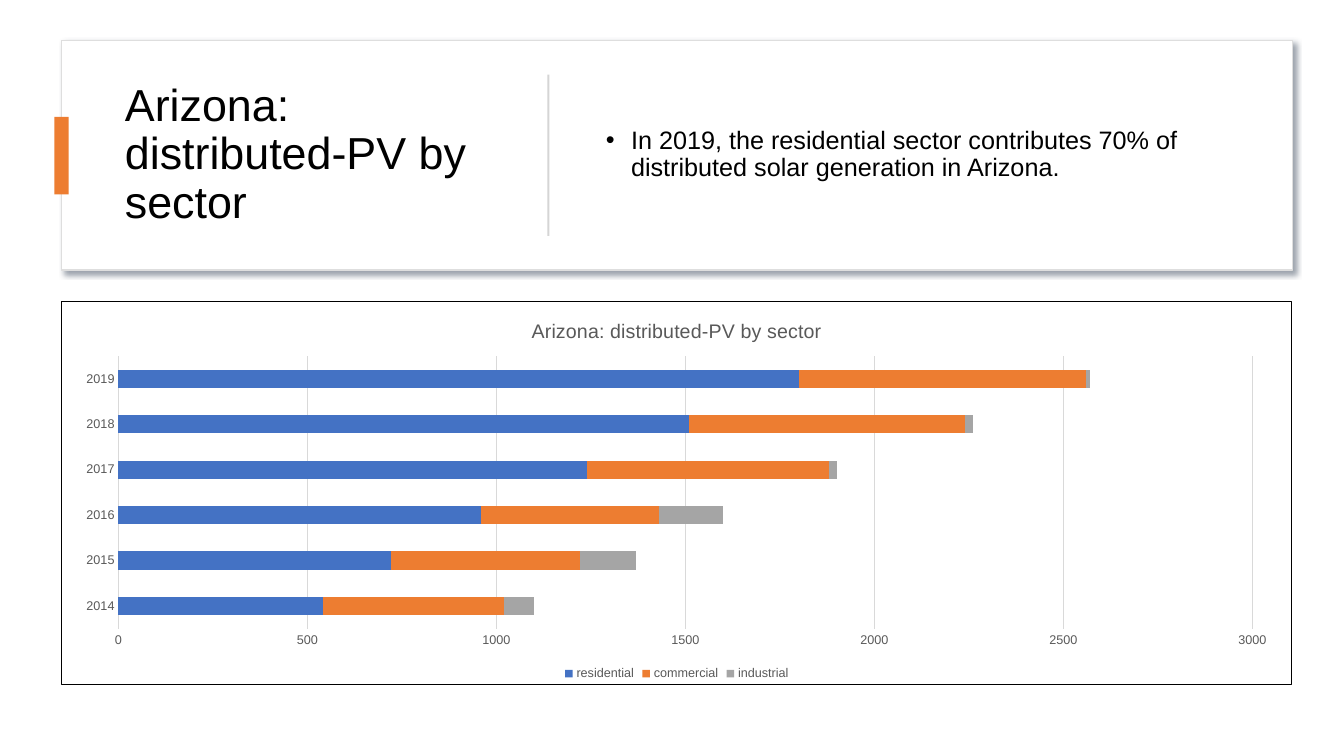
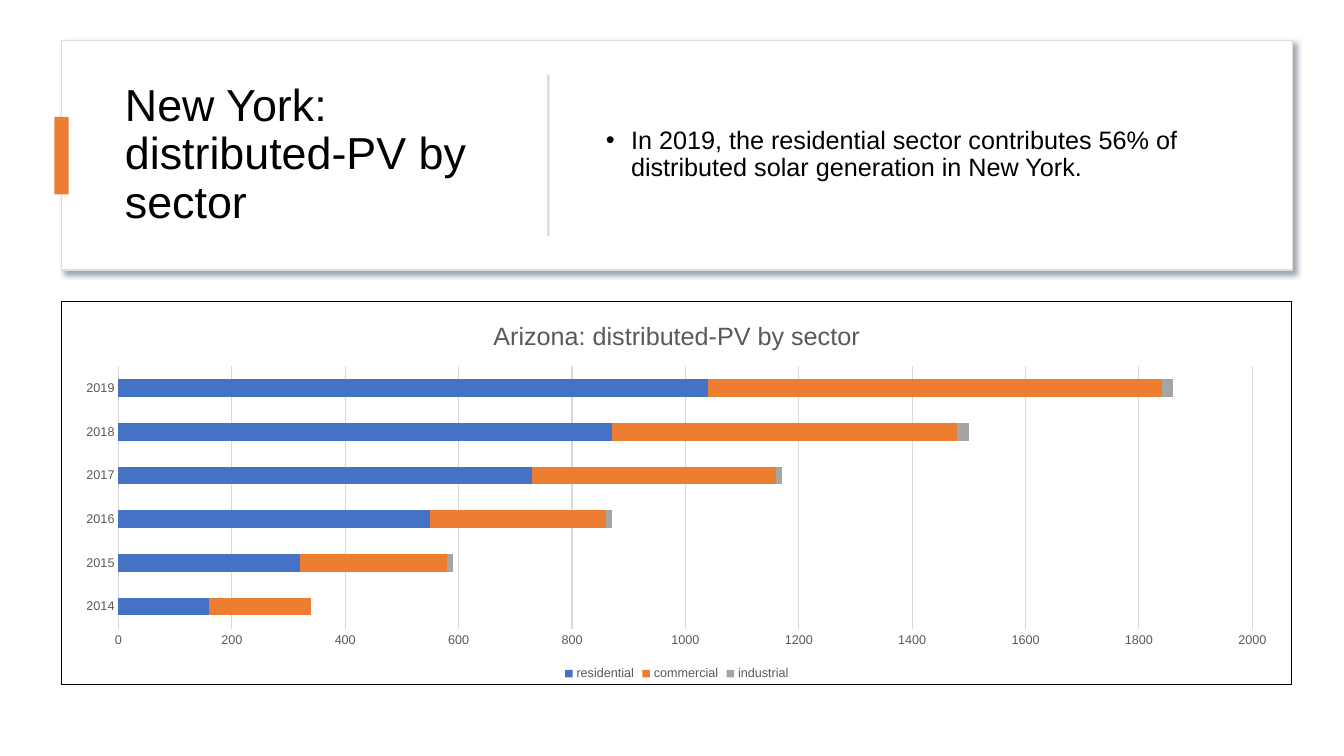
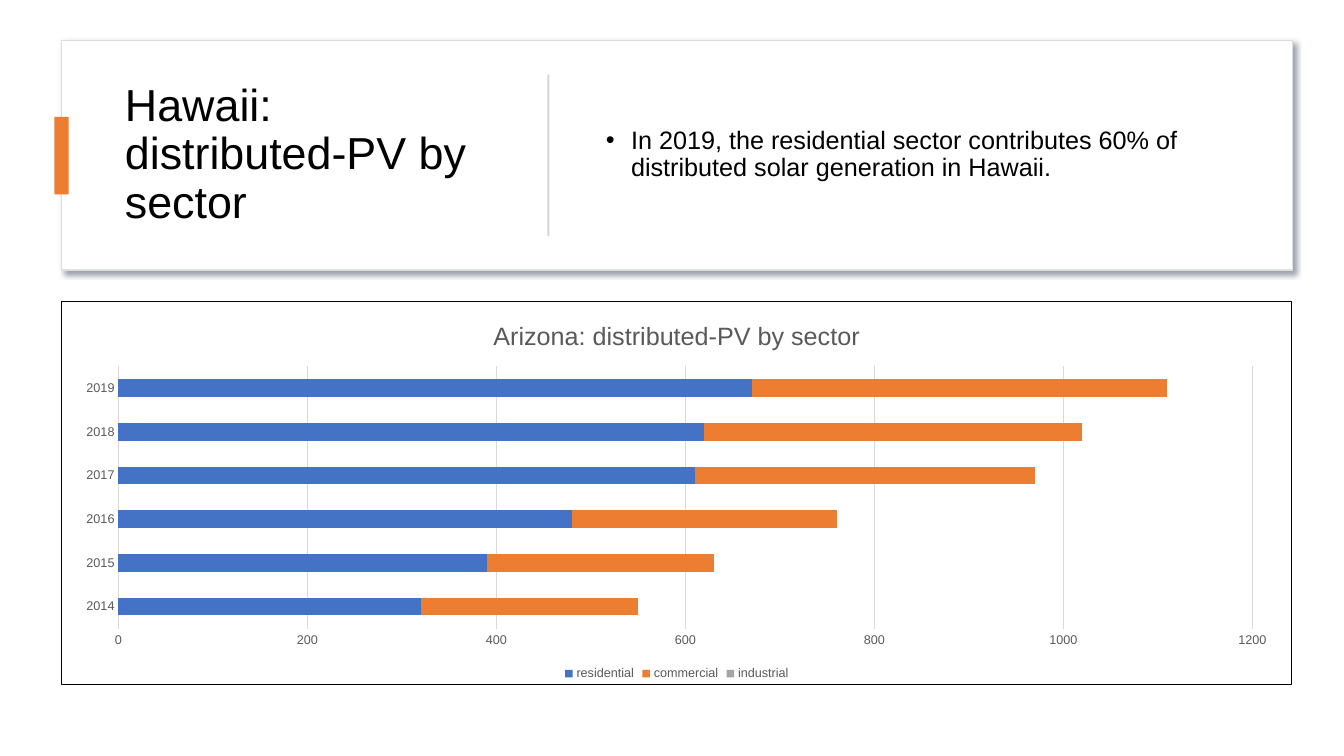
from pptx import Presentation
from pptx.chart.data import CategoryChartData
from pptx.dml.color import RGBColor
from pptx.enum.chart import XL_CHART_TYPE, XL_LEGEND_POSITION, XL_TICK_MARK
from pptx.enum.shapes import MSO_SHAPE
from pptx.enum.text import MSO_ANCHOR, MSO_AUTO_SIZE, PP_ALIGN
from pptx.oxml import parse_xml
from pptx.oxml.ns import nsdecls, qn
from pptx.util import Inches, Pt

HUES = {"white": "FFFFFF", "black": "000000", "edge": "DEDEDE", "rule": "D5D5D5",
        "grid": "D9D9D9", "gray": "595959", "shade": "39475A",
        "residential": "4472C4", "commercial": "ED7D31", "industrial": "A5A5A5"}
PAGE = (0, 0, Inches(13.33), Inches(7.5))
CARD = (4.57, 5.33, 91.58, 30.4)
PANEL = (4.57, 39.87, 91.58, 50.8)
TITLE = (4.34, 10.53, 31.86, 78.95)
BODY = (42.92, 10.53, 53.73, 78.95)
TAB = (-0.57, 33.33, 1.15, 33.77)
RULE = (39.48, 14.91, 0.16, 70.18)
FRAME = {"word_wrap": True, "auto_size": MSO_AUTO_SIZE.NONE,
         "vertical_anchor": MSO_ANCHOR.MIDDLE,
         "margin_left": Inches(0.1), "margin_right": Inches(0.1),
         "margin_top": Inches(0.05), "margin_bottom": Inches(0.05)}
PARA = {"alignment": PP_ALIGN.LEFT, "line_spacing": 0.9, "space_before": Pt(0)}
YEARS = [str(year) for year in range(2014, 2020)]
STATES = [
    {"name": "Arizona", "share": 70, "size": 14, "top": 14.2, "max": 3000, "step": 500,
     "data": {"residential": (540, 720, 960, 1240, 1510, 1800),
              "commercial": (480, 500, 470, 640, 730, 760),
              "industrial": (80, 150, 170, 20, 20, 10)}},
    {"name": "New York", "share": 56, "size": 18, "top": 16.8, "max": 2000, "step": 200,
     "data": {"residential": (160, 320, 550, 730, 870, 1040),
              "commercial": (180, 260, 310, 430, 610, 800),
              "industrial": (0, 10, 10, 10, 20, 20)}},
    {"name": "Hawaii", "share": 60, "size": 18, "top": 16.8, "max": 1200, "step": 200,
     "data": {"residential": (320, 390, 480, 610, 620, 670),
              "commercial": (230, 240, 280, 360, 400, 440),
              "industrial": (0, 0, 0, 0, 0, 0)}},
]


def hue(name):
    """Return the named colour."""
    return RGBColor.from_string(HUES[name])


def part(box, grid):
    """Return the part of a box given in hundredths of its width and height."""
    left, top, wide, high = box
    x, y, w, h = grid
    return (round(left + wide * x / 100), round(top + high * y / 100),
            round(wide * w / 100), round(high * h / 100))


def style(item, form):
    """Set attributes from a dict of format values."""
    for key, value in form.items():
        setattr(item, key, value)


def ink(font, size, name):
    """Format a font."""
    style(font, {"name": "Arial", "size": Pt(size), "bold": False})
    font.color.rgb = hue(name)


def block(slide, box, fill):
    """Add a plain rectangle without line or shadow."""
    shape = slide.shapes.add_shape(MSO_SHAPE.RECTANGLE, *box)
    shape.shadow.inherit = False
    shape.fill.solid()
    shape.fill.fore_color.rgb = hue(fill)
    shape.line.fill.background()
    return shape


def write(holder, box, text, size, bullet=False):
    """Place a placeholder and fill it with one paragraph."""
    style(holder, dict(zip(("left", "top", "width", "height"), box)))
    frame = holder.text_frame
    style(frame, FRAME)
    frame.text = text
    para = frame.paragraphs[0]
    if bullet:
        props = para._p.get_or_add_pPr()
        props.set("marL", str(Inches(0.31)))
        props.set("indent", str(Inches(-0.25)))
        for xml in (f'<a:buClr {nsdecls("a")}><a:srgbClr val="{HUES["black"]}"/></a:buClr>',
                    f'<a:buFont {nsdecls("a")} typeface="Arial"/>',
                    f'<a:buChar {nsdecls("a")} char="•"/>'):
            props.append(parse_xml(xml))
    style(para, PARA)
    ink(para.runs[0].font, size, "black")


def header(slide, box, title, text):
    """Build the shadowed card with title, rule and bullet."""
    card = block(slide, box, "white")
    card.line.color.rgb = hue("edge")
    card.line.width = Pt(1)
    card._element.spPr.find(qn("a:effectLst")).append(parse_xml(
        f'<a:outerShdw {nsdecls("a")} blurRad="{Pt(4)}" dist="{Pt(3)}" dir="2700000" '
        f'algn="tl" rotWithShape="0"><a:srgbClr val="{HUES["shade"]}">'
        '<a:alpha val="50000"/></a:srgbClr></a:outerShdw>'))
    slide.shapes._spTree.insert(2, card._element)
    block(slide, part(box, TAB), "commercial")
    block(slide, part(box, RULE), "rule")
    write(slide.shapes.title, part(box, TITLE), title, 32)
    write(slide.placeholders[1], part(box, BODY), text, 18, True)


def panel(slide, box, state):
    """Build the framed chart of generation by sector."""
    data = CategoryChartData()
    data.categories = YEARS
    for name, vals in state["data"].items():
        data.add_series(name, vals)
    chart = slide.shapes.add_chart(XL_CHART_TYPE.BAR_STACKED, *box, data).chart
    ink(chart.font, 10, "black")
    chart.has_title = True
    head = chart.chart_title.text_frame
    head.text = "Arizona: distributed-PV by sector"
    ink(head.paragraphs[0].runs[0].font, state["size"], "gray")
    chart.has_legend = True
    style(chart.legend, {"position": XL_LEGEND_POSITION.BOTTOM, "include_in_layout": False})
    ink(chart.legend.font, 9, "gray")
    plot = chart.plots[0]
    style(plot, {"gap_width": 150, "overlap": 100, "vary_by_categories": False})
    for series in plot.series:
        series.format.fill.solid()
        series.format.fill.fore_color.rgb = hue(series.name)
    cats, vals = chart.category_axis, chart.value_axis
    for axis in (cats, vals):
        style(axis, {"major_tick_mark": XL_TICK_MARK.NONE,
                     "minor_tick_mark": XL_TICK_MARK.NONE})
        ink(axis.tick_labels.font, 9, "gray")
    style(vals, {"minimum_scale": 0, "maximum_scale": state["max"],
                 "major_unit": state["step"], "has_major_gridlines": True})
    vals.format.line.fill.background()
    for line in (cats.format.line, vals.major_gridlines.format.line):
        line.color.rgb = hue("grid")
        line.width = Pt(0.75)
    outline(chart, state["top"])


def outline(chart, top):
    """Fix the plot area and frame the chart."""
    root = chart._chartSpace
    area = root.chart.plotArea
    for old in area.findall(qn("c:layout")):
        area.remove(old)
    spots = {"x": 4.6, "y": top, "w": 92.2, "h": 85.3 - top}
    rows = "".join(f'<c:{key} val="{val / 100:.3f}"/>' for key, val in spots.items())
    area.insert(0, parse_xml(
        f'<c:layout {nsdecls("c")}><c:manualLayout><c:layoutTarget val="inner"/>'
        f'<c:xMode val="edge"/><c:yMode val="edge"/>{rows}</c:manualLayout></c:layout>'))
    root.chart.addnext(parse_xml(
        f'<c:spPr {nsdecls("c", "a")}><a:solidFill><a:srgbClr val="{HUES["white"]}"/>'
        f'</a:solidFill><a:ln w="{Pt(0.75)}"><a:solidFill>'
        f'<a:srgbClr val="{HUES["black"]}"/></a:solidFill></a:ln></c:spPr>'))


def main():
    """Build one slide for each state."""
    deck = Presentation()
    deck.slide_width, deck.slide_height = PAGE[2:]
    for state in STATES:
        slide = deck.slides.add_slide(deck.slide_layouts[1])
        name = state["name"]
        header(slide, part(PAGE, CARD), f"{name}: distributed-PV by sector",
               f"In 2019, the residential sector contributes {state['share']}% of "
               f"distributed solar generation in {name}.")
        panel(slide, part(PAGE, PANEL), state)
    deck.save("out.pptx")


if __name__ == "__main__":
    main()
